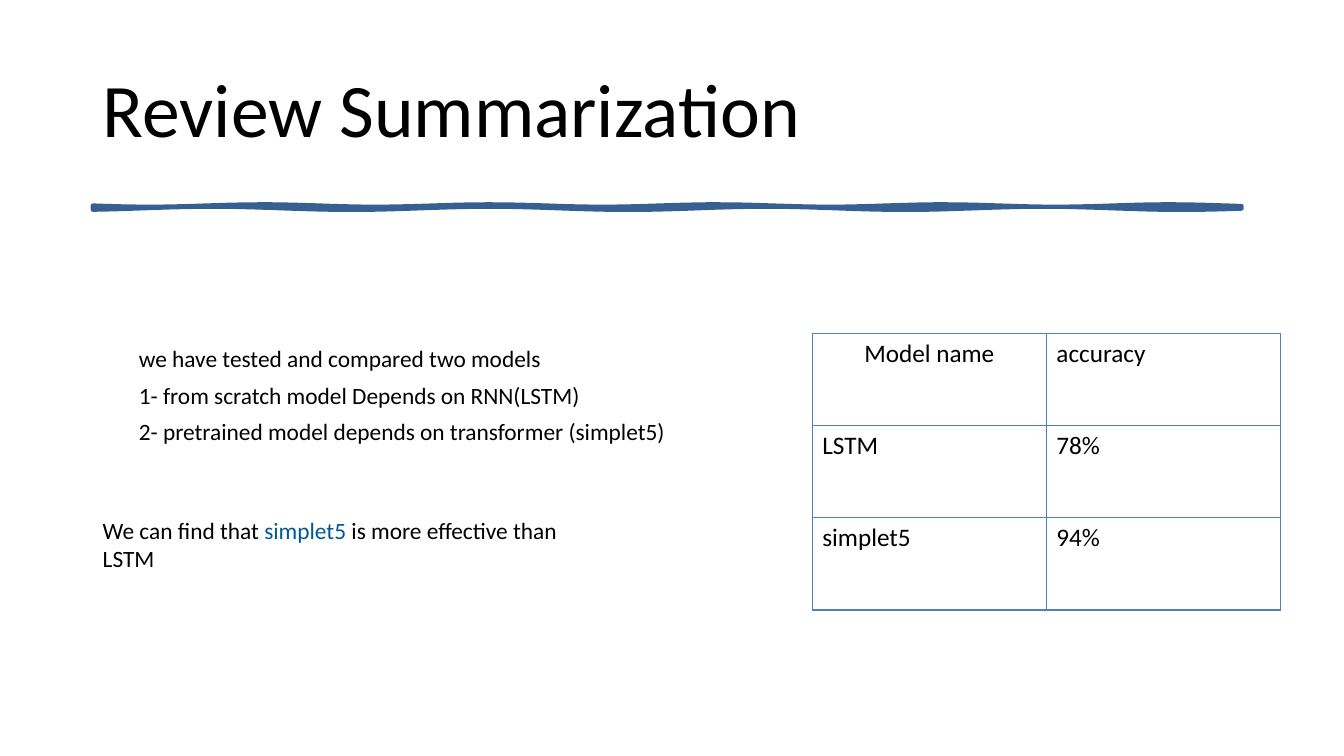
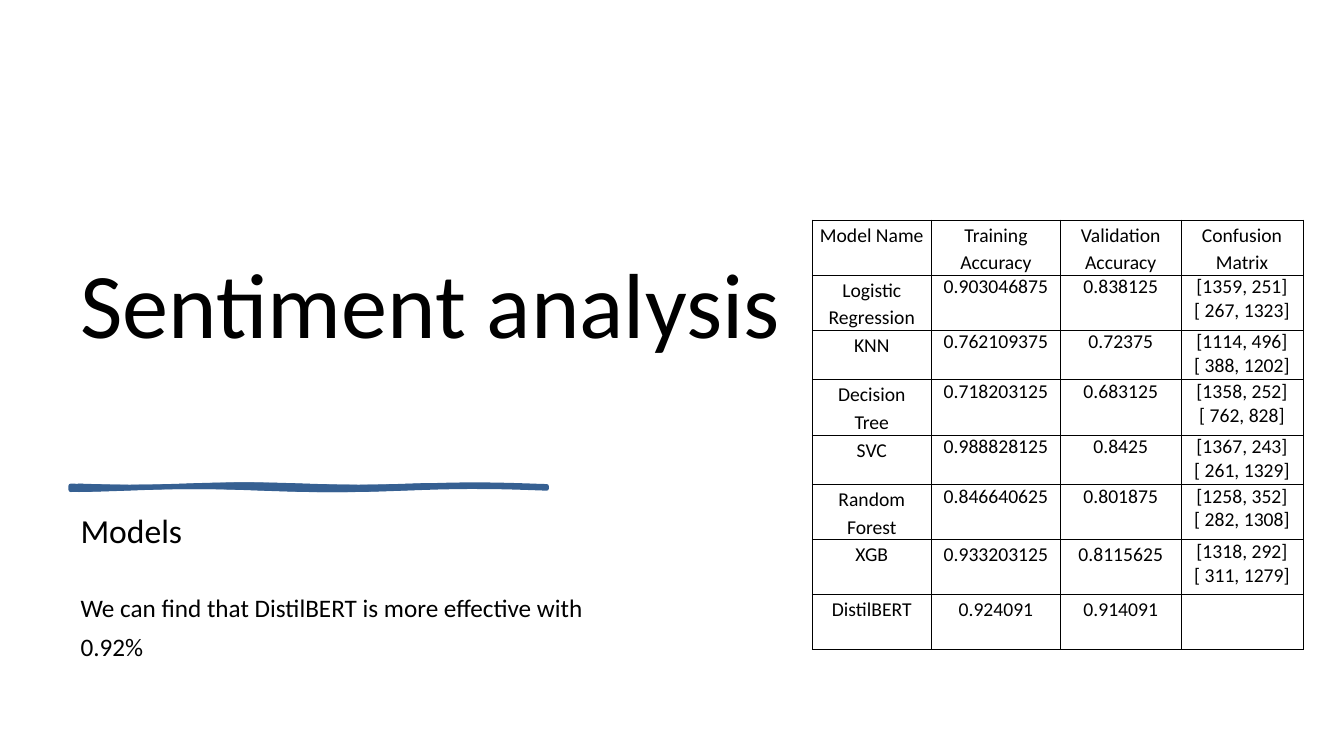
import math

import pptx
import pptx.dml.color
import pptx.enum.text
import pptx.oxml
import pptx.oxml.ns
import pptx.util

Cm = pptx.util.Cm
Pt = pptx.util.Pt
ALIGN = pptx.enum.text.PP_ALIGN
ANCHOR = pptx.enum.text.MSO_ANCHOR
RGB = pptx.dml.color.RGBColor.from_string
qn = pptx.oxml.ns.qn

FONT = "Calibri"
COLORS = {
    "text": "000000",
    "accent": "005897",
    "brush": "366092",
    "blue grid": "4F81BD",
    "black grid": "000000",
}


def write(frame, text, size=18, align=ALIGN.LEFT, anchor=ANCHOR.TOP,
          spacing=1.0, after=0, highlight=None):
    """Fill a text frame, one paragraph a line; highlight colours one word."""
    frame.word_wrap = True
    frame.vertical_anchor = anchor
    for number, line in enumerate(text.split("\n")):
        paragraph = frame.paragraphs[0] if number == 0 else frame.add_paragraph()
        paragraph.alignment = align
        paragraph.line_spacing = spacing
        paragraph.space_after = Pt(after)
        before, word, rest = line.partition(highlight) if highlight else (line, "", "")
        for part, color in ((before, "text"), (word, "accent"), (rest, "text")):
            if part:
                run = paragraph.add_run()
                run.text = part
                run.font.name = FONT
                run.font.size = Pt(size)
                run.font.color.rgb = RGB(COLORS[color])


def add_grid(slide, left, top, widths, heights, color, weight):
    """Add an unfilled table with the same border round every cell."""
    table = slide.shapes.add_table(
        len(heights), len(widths), Cm(left), Cm(top),
        Cm(sum(widths)), Cm(sum(heights))).table
    table.first_row = table.horz_banding = False
    for column, width in zip(table.columns, widths):
        column.width = Cm(width)
    for row, height in zip(table.rows, heights):
        row.height = Cm(height)
    for cell in table.iter_cells():
        cell.fill.background()
        properties = cell._tc.get_or_add_tcPr()
        for position, side in enumerate("LRTB"):
            properties.insert(position, pptx.oxml.parse_xml(
                f'<a:ln{side} {pptx.oxml.ns.nsdecls("a")} w="{Pt(weight)}">'
                f'<a:solidFill><a:srgbClr val="{COLORS[color]}"/></a:solidFill>'
                f'</a:ln{side}>'))
    return table


deck = pptx.Presentation()
deck.slide_width, deck.slide_height = Cm(33.87), Cm(19.05)
blank = deck.slide_layouts[6]
summarization = deck.slides.add_slide(blank)
sentiment = deck.slides.add_slide(blank)

# Titles and body text: slide, left, top, width, height, text, format
title = {"spacing": 0.9}
body = {"after": 6}
texts = [
    (summarization, 2.34, 1.02, 29.2, 3.68, "Review Summarization",
     {**title, "size": 54, "anchor": ANCHOR.MIDDLE}),
    (summarization, 3.25, 8.56, 14.45, 3.8,
     "we have tested and compared two models\n"
     "1- from scratch model Depends on RNN(LSTM)\n"
     "2- pretrained model depends on transformer (simplet5)",
     {**body, "size": 16.7}),
    (summarization, 2.34, 12.88, 13.2, 1.95,
     "We can find that simplet5 is more effective than LSTM",
     {**body, "size": 16.7, "highlight": "simplet5"}),
    (sentiment, 1.78, 0.89, 18.6, 8.26, "Sentiment analysis",
     {**title, "size": 66, "anchor": ANCHOR.BOTTOM}),
    (sentiment, 1.78, 12.85, 18.6, 1.5, "Models", {**title, "size": 24}),
    (sentiment, 1.78, 14.81, 13.6, 2.5,
     "We can find that DistilBERT is more effective with\n0.92%", body),
]
for slide, left, top, width, height, text, style in texts:
    box = slide.shapes.add_textbox(Cm(left), Cm(top), Cm(width), Cm(height))
    write(box.text_frame, text, **style)

# Brush strokes: thin bands whose two edges waver independently
for slide, left, middle, width in ((summarization, 2.34, 5.21, 28.95),
                                   (sentiment, 1.98, 12.27, 11.8),
                                   (sentiment, 1.78, 12.27, 9.04)):
    steps = round(width * 4)
    upper, lower = [], []
    for step in range(steps + 1):
        along = width * step / steps
        x = Cm(left + along)
        upper.append((x, Cm(middle - 0.03 + 0.03 * math.sin(along * 1.1))))
        lower.append((x, Cm(middle + 0.04 + 0.04 * math.sin(along * 0.9 + 2))))
    outline = upper + lower[::-1]
    builder = slide.shapes.build_freeform(*outline[0])
    builder.add_line_segments(outline[1:], close=True)
    stroke = builder.convert_to_shape()
    stroke.shadow.inherit = False
    stroke.fill.solid()
    stroke.fill.fore_color.rgb = RGB(COLORS["brush"])
    stroke.line.color.rgb = RGB(COLORS["brush"])
    stroke.line.width = Pt(3)
    stroke.element.spPr.find(qn("a:ln")).append(pptx.oxml.parse_xml(
        f'<a:round {pptx.oxml.ns.nsdecls("a")}/>'))

# Summarization accuracy
accuracies = [("Model name", "accuracy"), ("LSTM", "78%"), ("simplet5", "94%")]
accuracy_grid = add_grid(summarization, 20.47, 8.41, [5.9] * 2, [2.32] * 3,
                         "blue grid", 1)
for row, values in enumerate(accuracies):
    for column, value in enumerate(values):
        centred = row == column == 0
        write(accuracy_grid.cell(row, column).text_frame, value,
              align=ALIGN.CENTER if centred else ALIGN.LEFT)

# Sentiment model scores
scores = [
    ("Model Name", "Training Accuracy", "Validation Accuracy", "Confusion Matrix"),
    ("Logistic Regression", "0.903046875", "0.838125", "[1359, 251]\n[ 267, 1323]"),
    ("KNN", "0.762109375", "0.72375", "[1114, 496]\n[ 388, 1202]"),
    ("Decision Tree", "0.718203125", "0.683125", "[1358, 252]\n[ 762, 828]"),
    ("SVC", "0.988828125", "0.8425", "[1367, 243]\n[ 261, 1329]"),
    ("Random Forest", "0.846640625", "0.801875", "[1258, 352]\n[ 282, 1308]"),
    ("XGB", "0.933203125", "0.8115625", "[1318, 292]\n[ 311, 1279]"),
    ("DistilBERT", "0.924091", "0.914091", ""),
]
score_heights = [1.25 if values[0] in ("KNN", "SVC") else 1.39 for values in scores]
score_grid = add_grid(sentiment, 20.47, 5.54, [3, 3.26, 3.03, 3.08],
                      score_heights, "black grid", 0.5)
for row, values in enumerate(scores):
    for column, value in enumerate(values):
        cell = score_grid.cell(row, column)
        cell.margin_left = cell.margin_right = Cm(0.18)
        cell.margin_top = cell.margin_bottom = 0
        tight = "[" in value or (column > 0 and 0 < row < 6)
        write(cell.text_frame, value, size=14, align=ALIGN.CENTER,
              spacing=1.0 if tight else 1.15)

deck.save("out.pptx")
